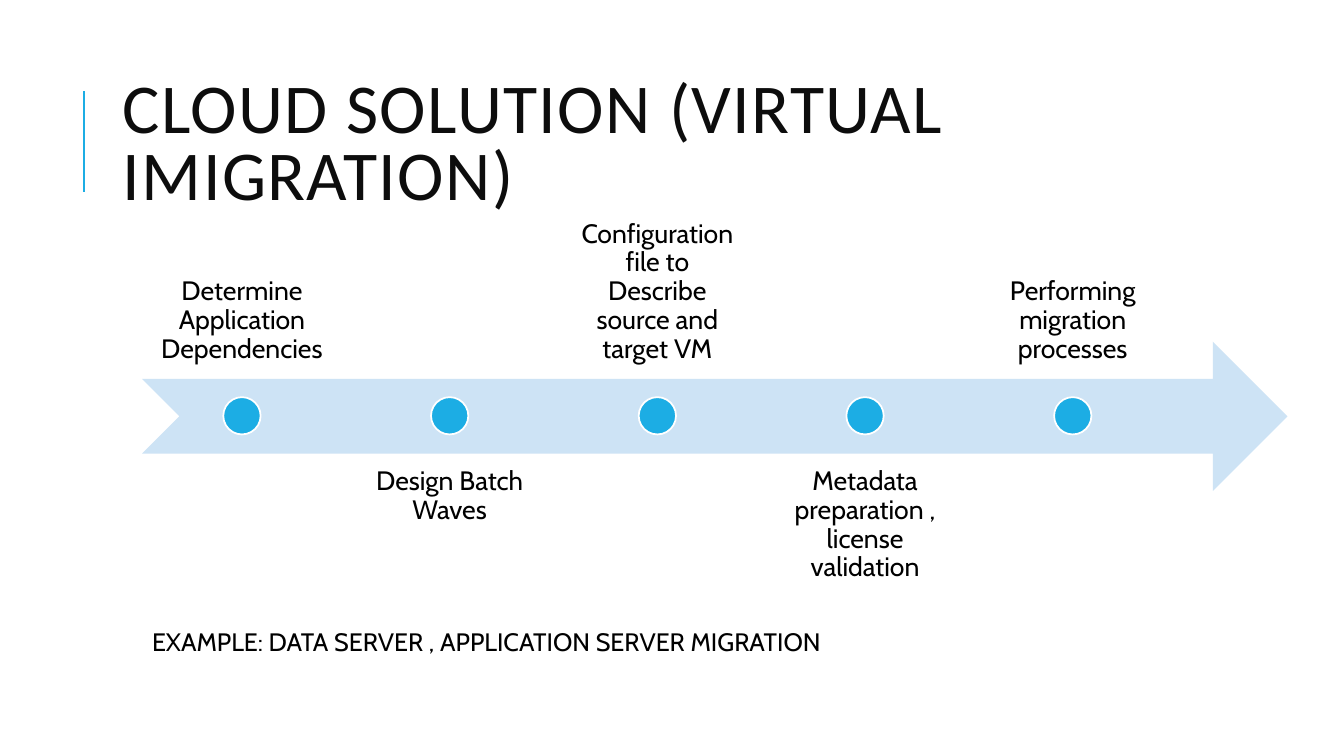
from pptx import Presentation
from pptx.dml.color import RGBColor
from pptx.enum.shapes import MSO_CONNECTOR, MSO_SHAPE
from pptx.enum.text import MSO_ANCHOR, MSO_AUTO_SIZE, PP_ALIGN
from pptx.oxml.ns import qn
from pptx.util import Inches, Pt
from lxml import etree

STRAIGHT = MSO_CONNECTOR.STRAIGHT
NOTCHED_ARROW, OVAL = MSO_SHAPE.NOTCHED_RIGHT_ARROW, MSO_SHAPE.OVAL
TOP, MIDDLE, BOTTOM = MSO_ANCHOR.TOP, MSO_ANCHOR.MIDDLE, MSO_ANCHOR.BOTTOM
LEFT, CENTER = PP_ALIGN.LEFT, PP_ALIGN.CENTER
FIT_SHAPE = MSO_AUTO_SIZE.SHAPE_TO_FIT_TEXT

ACCENT = RGBColor(0x1C, 0xAD, 0xE4)
PALE_BLUE = RGBColor(0xCD, 0xE3, 0xF5)
WHITE = RGBColor(0xFF, 0xFF, 0xFF)
BLACK = RGBColor(0x00, 0x00, 0x00)
TITLE_COLOR = RGBColor(0x0D, 0x0D, 0x0D)

STEPS = [
    "Determine Application Dependencies",
    "Design Batch Waves",
    "Configuration file to Describe source and target VM",
    "Metadata preparation , license validation",
    "Performing migration processes",
]
STEP_LEFT, STEP_PITCH = 1.42, 2.06
LABEL_WIDTH, LABEL_HEIGHT = 1.96, 1.48
LABEL_ABOVE, LABEL_BELOW = 2.28, 4.49
DOT_SIZE, DOT_TOP = 0.37, 3.94


def add_text(slide, text, box, size, font="Cabin", color=BLACK,
             anchor=TOP, align=LEFT, inset=None):
    shape = slide.shapes.add_textbox(*(Inches(value) for value in box))
    frame = shape.text_frame
    frame.word_wrap = True
    frame.vertical_anchor = anchor
    if inset is not None:
        frame.margin_left = frame.margin_right = Inches(inset)
        frame.margin_top = frame.margin_bottom = Inches(inset)
    frame.text = text
    paragraph = frame.paragraphs[0]
    paragraph.alignment = align
    run_font = paragraph.runs[0].font
    run_font.name = font
    run_font.size = Pt(size)
    run_font.color.rgb = color
    return shape


def add_filled_shape(slide, kind, box, fill, outline=None):
    shape = slide.shapes.add_shape(kind, *(Inches(value) for value in box))
    shape.shadow.inherit = False
    shape.fill.solid()
    shape.fill.fore_color.rgb = fill
    if outline is None:
        shape.line.fill.background()
    else:
        shape.line.color.rgb = outline
        shape.line.width = Pt(1.25)


def add_title(slide, text):
    rule = slide.shapes.add_connector(
        STRAIGHT, Inches(0.83), Inches(1.9), Inches(0.83), Inches(0.9))
    rule.line.color.rgb = ACCENT
    rule.line.width = Pt(1.5)
    etree.SubElement(rule._element.spPr, qn("a:effectLst"))

    title = add_text(slide, text, (1.12, 0.64, 10.63, 1.64), 50,
                     "Calibri", TITLE_COLOR, MIDDLE)
    paragraph = title.text_frame.paragraphs[0]
    paragraph.line_spacing = 0.8
    paragraph.runs[0]._r.get_or_add_rPr().set("spc", "100")


def add_step(slide, index, text):
    """Place a dot on the arrow, with labels alternating above and below."""
    left = STEP_LEFT + index * STEP_PITCH
    above = index % 2 == 0
    label = add_text(
        slide, text,
        (left, LABEL_ABOVE if above else LABEL_BELOW, LABEL_WIDTH, LABEL_HEIGHT),
        19, anchor=BOTTOM if above else TOP, align=CENTER, inset=0.15)
    label.text_frame.paragraphs[0].line_spacing = 0.9
    dot_left = left + (LABEL_WIDTH - DOT_SIZE) / 2
    add_filled_shape(slide, OVAL, (dot_left, DOT_TOP, DOT_SIZE, DOT_SIZE),
                     ACCENT, WHITE)


def main():
    presentation = Presentation()
    presentation.slide_width = Inches(13.33)
    presentation.slide_height = Inches(7.5)
    slide = presentation.slides.add_slide(presentation.slide_layouts[6])

    add_title(slide, "CLOUD SOLUTION (VIRTUAL IMIGRATION)")
    add_filled_shape(slide, NOTCHED_ARROW, (1.41, 3.39, 11.36, 1.48), PALE_BLUE)
    for index, text in enumerate(STEPS):
        add_step(slide, index, text)
    example = add_text(slide, "EXAMPLE: DATA SERVER , APPLICATION SERVER MIGRATION",
                       (1.41, 6.16, 7.34, 0.4), 18)
    example.text_frame.auto_size = FIT_SHAPE

    presentation.save("out.pptx")


if __name__ == "__main__":
    main()
